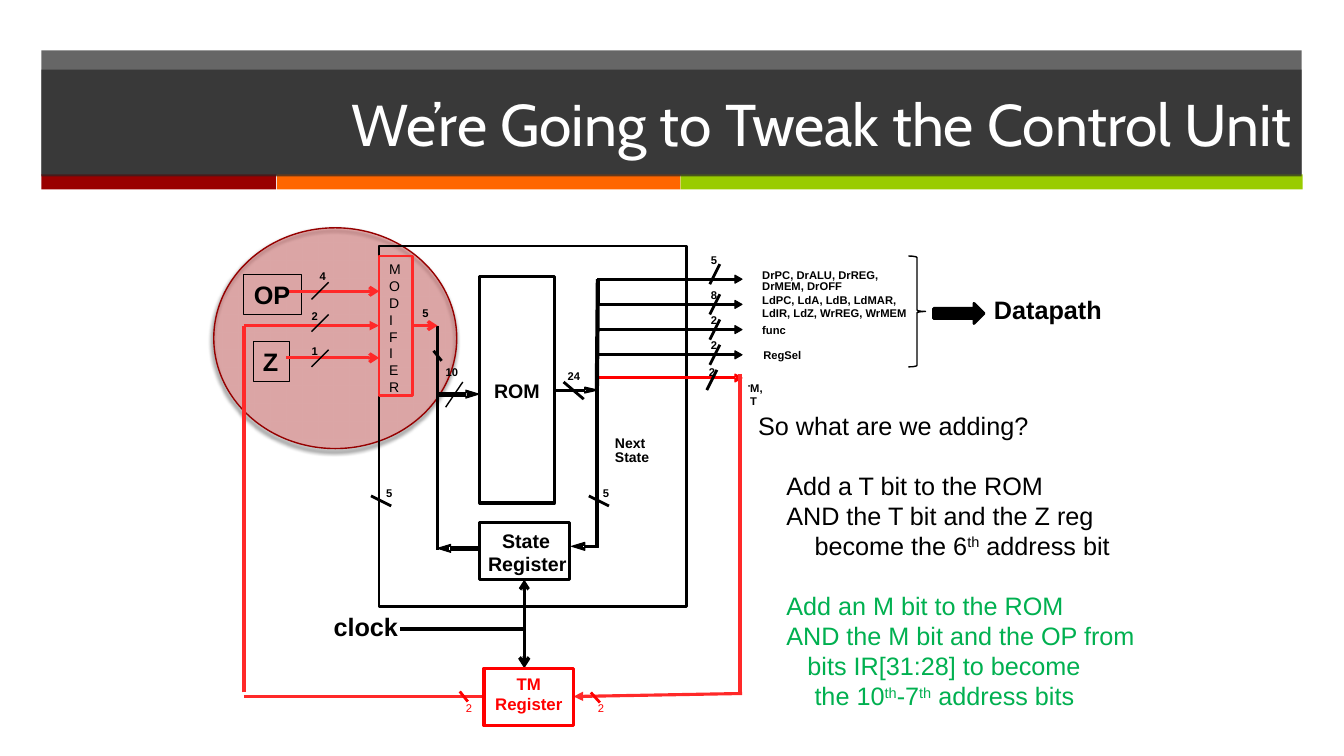
from dataclasses import dataclass

import pptx
import pptx.dml.color
import pptx.enum.shapes
import pptx.enum.text
import pptx.oxml
import pptx.oxml.ns
import pptx.util

Inches = pptx.util.Inches
Pt = pptx.util.Pt
SHAPE = pptx.enum.shapes.MSO_SHAPE
ALIGN = pptx.enum.text.PP_ALIGN
ANCHOR = pptx.enum.text.MSO_ANCHOR
BLACK, RED, WIRE_RED, GREEN = "000000", "FF0000", "FF2929", "00B050"
DARK, WHITE = "262626", "FFFFFF"
NS = pptx.oxml.ns.nsdecls("a")


@dataclass
class Box:
    x: float
    y: float
    w: float
    h: float
    line: str | None = None
    width: float = 0.75
    fill: str | None = None
    alpha: int = 100
    kind: int = SHAPE.RECTANGLE


@dataclass
class Wire:
    x1: float
    y1: float
    x2: float
    y2: float
    color: str = BLACK
    width: float = 0
    tail: str | None = None


@dataclass
class BlockArrow:
    x1: float
    x2: float
    y: float
    shaft: float = 0.01
    head: float = 0.04
    length: float = 0.07
    color: str = BLACK


@dataclass
class Label:
    text: str
    x: float
    y: float
    w: float
    size: float = 8
    color: str = BLACK
    bold: bool = True
    inset: bool = False


prs = pptx.Presentation()
prs.slide_width, prs.slide_height = Inches(13.33), Inches(7.5)
s = prs.slides.add_slide(prs.slide_layouts[6])


def paint(fmt, color: str | None) -> None:
    """Set a fill, or clear it when there is no colour."""
    if color is None:
        fmt.background()
    else:
        fmt.solid()
        fmt.fore_color.rgb = pptx.dml.color.RGBColor.from_string(color)


def style(p, size: float, color: str, bold: bool = False, name: str = "Arial") -> None:
    p.font.size, p.font.bold, p.font.name = Pt(size), bold, name
    paint(p.font.fill, color)


def add_box(b: Box):
    sp = s.shapes.add_shape(b.kind, Inches(b.x), Inches(b.y), Inches(b.w), Inches(b.h))
    sp.shadow.inherit = False
    paint(sp.fill, b.fill)
    paint(sp.line.fill, b.line)
    if b.line:
        sp.line.width = Pt(b.width)
    if b.alpha < 100:
        clr = sp._element.spPr.find(".//" + pptx.oxml.ns.qn("a:srgbClr"))
        clr.append(pptx.oxml.parse_xml(f'<a:alpha {NS} val="{b.alpha * 1000}"/>'))
    return sp


def add_wire(w: Wire) -> None:
    c = s.shapes.add_connector(pptx.enum.shapes.MSO_CONNECTOR.STRAIGHT,
                               Inches(w.x1), Inches(w.y1), Inches(w.x2), Inches(w.y2))
    paint(c.line.fill, w.color)
    c.line.width = Pt(w.width)
    if w.tail:
        c.line._get_or_add_ln().append(
            pptx.oxml.parse_xml(f'<a:tailEnd {NS} type="{w.tail}"/>'))
    c._element.spPr.append(pptx.oxml.parse_xml(f"<a:effectLst {NS}/>"))


def add_block_arrow(a: BlockArrow) -> None:
    step = a.length if a.x2 > a.x1 else -a.length
    neck, base = a.x2 - 0.85 * step, a.x2 - step
    shaft = [(a.x1, a.y - a.shaft), (neck, a.y - a.shaft),
             (neck, a.y + a.shaft), (a.x1, a.y + a.shaft)]
    head = [(base, a.y - a.head), (a.x2, a.y), (base, a.y + a.head)]
    (x, y), *rest = [(Inches(x), Inches(y)) for x, y in shaft]
    fb = s.shapes.build_freeform(x, y)
    fb.add_line_segments(rest)
    (x, y), *rest = [(Inches(x), Inches(y)) for x, y in head]
    fb.move_to(x, y)
    fb.add_line_segments(rest)
    sp = fb.convert_to_shape()
    sp.shadow.inherit = False
    paint(sp.fill, a.color)
    paint(sp.line.fill, a.color)
    sp.line.width = Pt(0)


def add_label(t: Label):
    pad = 0.1 if t.inset else 0
    sp = s.shapes.add_textbox(Inches(t.x), Inches(t.y), Inches(t.w),
                              Inches(round(t.size / 60 + pad, 2)))
    tf = sp.text_frame
    tf.word_wrap = False
    tf.auto_size = pptx.enum.text.MSO_AUTO_SIZE.SHAPE_TO_FIT_TEXT
    if not t.inset:
        tf.margin_left = tf.margin_right = tf.margin_top = tf.margin_bottom = 0
    tf.text = t.text
    for p in tf.paragraphs:
        style(p, t.size, t.color, t.bold)
    return sp


# Title banner
add_box(Box(0.41, 0.5, 12.5, 1.24, fill=DARK, alpha=70))
for x, w, color in [(0.41, 2.33, "990000"), (2.75, 4, "FF6600"), (6.75, 6.17, "99CC00")]:
    add_box(Box(x, 1.73, w, 0.15, fill=color))
tf = add_box(Box(0.41, 0.69, 12.5, 1.06, fill=DARK, alpha=70)).text_frame
tf.text = "We’re Going to Tweak the Control Unit"
tf.vertical_anchor = ANCHOR.MIDDLE
tf.paragraphs[0].alignment = ALIGN.RIGHT
style(tf.paragraphs[0], 42, WHITE, name="Cabin")

# Highlight around the modifier inputs
sp = add_box(Box(2.12, 2.26, 2.41, 2.19, "960000", 1, WIRE_RED, 25, SHAPE.OVAL))
sp._element.spPr.find(pptx.oxml.ns.qn("a:effectLst")).append(pptx.oxml.parse_xml(
    f'<a:outerShdw {NS} blurRad="{Pt(3)}" dist="{Pt(2)}" dir="6600000" rotWithShape="0">'
    '<a:srgbClr val="000000"><a:alpha val="75000"/></a:srgbClr></a:outerShdw>'))

# Blocks: ROM, state register, control unit, Z, OP, modifier, brace, datapath arrow
for b in [Box(4.76, 2.74, 0.74, 2.25, BLACK, 2.25), Box(4.76, 5.18, 0.89, 0.57, BLACK, 2.25),
          Box(3.76, 2.44, 3.05, 3.58, BLACK, 2), Box(2.51, 3.39, 0.36, 0.4, BLACK),
          Box(2.42, 2.72, 0.57, 0.4, BLACK), Box(3.76, 2.54, 0.33, 1.38, WIRE_RED, 2),
          Box(9.01, 2.54, 0.17, 1.1, BLACK, 1, kind=SHAPE.RIGHT_BRACE),
          Box(9.26, 3.01, 0.5, 0.2, BLACK, 2, BLACK, kind=SHAPE.RIGHT_ARROW)]:
    add_box(b)

# Control outputs with bus slashes and widths
for i, bits in enumerate("5822"):
    y = 2.77 + 0.25 * i
    add_block_arrow(BlockArrow(5.93, 7.36, y))
    slash = 2.82 if i == 0 else y + 0.1
    add_wire(Wire(7.04, slash, 7.14, slash - 0.2))
    add_label(Label(bits, 7.05, 2.51 if i == 0 else y - 0.16, 0.06))
add_block_arrow(BlockArrow(5.92, 7.36, 3.75, color=RED))

# Internal buses
for a in [BlockArrow(5.51, 5.93, 3.87, 0.01, 0.03, 0.13),
          BlockArrow(5.94, 5.67, 5.42, 0.01, 0.04, 0.13),
          BlockArrow(4.34, 4.75, 3.91, 0.02, 0.04, 0.13),
          BlockArrow(4.75, 4.34, 5.44, 0.02, 0.04, 0.13)]:
    add_block_arrow(a)

for w in [Wire(5.92, 3.87, 5.93, 2.77, width=3), Wire(5.92, 3.87, 5.92, 5.43, width=3),
          Wire(4.34, 3.23, 4.34, 5.46, width=2.25),
          # Clock
          Wire(3.97, 6.24, 5.2, 6.24, width=2.25),
          Wire(5.2, 6.24, 5.2, 5.75, width=2.25, tail="arrow"),
          Wire(5.2, 6.24, 5.2, 6.63, width=2.5, tail="arrow"),
          # Modifier inputs and output
          Wire(2.84, 2.89, 3.76, 2.89, WIRE_RED, 2.25, "arrow"),
          Wire(2.84, 3.55, 3.76, 3.55, WIRE_RED, 2.25, "arrow"),
          Wire(4.09, 3.23, 4.34, 3.23, WIRE_RED, 2.25, "arrow"),
          # Loop through the TM register
          Wire(7.34, 3.71, 7.34, 6.87, WIRE_RED, 2.25),
          Wire(7.36, 6.88, 5.69, 6.91, WIRE_RED, 2.25, "triangle"),
          Wire(4.8, 6.91, 2.42, 6.91, WIRE_RED, 2.25),
          Wire(2.42, 6.87, 2.42, 3.23, WIRE_RED, 2.25),
          Wire(2.42, 3.23, 3.76, 3.23, WIRE_RED, 2.25, "triangle"),
          # Bus slashes
          Wire(7.01, 3.87, 7.11, 3.67), Wire(5.84, 4.92, 6.04, 5.02),
          Wire(3.68, 4.92, 3.88, 5.02), Wire(5.59, 3.79, 5.79, 3.96),
          Wire(4.3, 3.48, 4.38, 3.58), Wire(4.59, 3.79, 4.42, 4.04, width=1),
          Wire(5.86, 6.87, 5.95, 6.97, RED), Wire(4.56, 6.86, 4.64, 6.96, RED)]:
    add_wire(w)
for y in (2.8, 3.12, 3.47):
    add_wire(Wire(3.26, y, 3.09, y + 0.17, width=1))

# Labels
for t in [Label("DrPC, DrALU, DrREG,", 7.56, 2.66, 1.19), Label("DrMEM, DrOFF", 7.56, 2.77, 0.8),
          Label("LdPC, LdA, LdB, LdMAR,", 7.56, 2.91, 1.34),
          Label("LdIR, LdZ, WrREG, WrMEM", 7.56, 3.04, 1.45),
          Label("func", 7.56, 3.21, 0.24), Label("RegSel", 7.57, 3.46, 0.38),
          Label("ROM", 4.9, 3.76, 0.46, 14), Label("State", 4.98, 5.25, 0.48, 14),
          Label("Register", 4.84, 5.48, 0.78, 14),
          Label("Next", 6.1, 4.31, 0.3, 10), Label("State", 6.1, 4.45, 0.34, 10),
          Label("5", 5.98, 4.82, 0.06), Label("5", 3.83, 4.82, 0.06), Label("5", 4.19, 3.04, 0.06),
          Label("24", 5.63, 3.66, 0.13), Label("10", 4.42, 3.62, 0.13),
          Label("4", 3.17, 2.67, 0.06), Label("2", 3.09, 3.07, 0.06), Label("1", 3.09, 3.42, 0.06),
          Label("2", 7.03, 3.62, 0.06), Label("T", 7.42, 3.79, 0.07),
          Label("2", 5.93, 6.96, 0.06, color=RED, bold=False),
          Label("2", 4.62, 6.96, 0.06, color=RED, bold=False),
          Label("clock", 3.21, 6.02, 0.85, 18, inset=True), Label("Z", 2.51, 3.39, 0.36, 18, inset=True),
          Label("OP", 2.42, 2.72, 0.57, 18, inset=True),
          Label("Datapath", 9.76, 2.87, 1.28, 18, inset=True)]:
    add_label(t)
paint(add_label(Label("M, T", 7.44, 3.78, 0.22)).fill, WHITE)
sp = add_label(Label("\n".join("MODIFIER"), 3.76, 2.54, 0.32, 10, bold=False, inset=True))
sp.height = Inches(1.62)
for p in sp.text_frame.paragraphs:
    p.line_spacing = Pt(12)

# TM register
tf = add_box(Box(4.8, 6.63, 0.89, 0.57, RED, 2.25)).text_frame
tf.word_wrap, tf.vertical_anchor, tf.text = True, ANCHOR.TOP, "TM Register"
tf.paragraphs[0].alignment = ALIGN.CENTER
style(tf.paragraphs[0], 12, RED, True)

# Explanation: indent, gap before, colour, text with ^ around superscripts
tf = s.shapes.add_textbox(Inches(7.42), Inches(4.02), Inches(4.12), Inches(3.13)).text_frame
tf.word_wrap = True
for i, (indent, gap, color, text) in enumerate([
        (0, 0, BLACK, "So what are we adding?"),
        (0.28, 21.5, BLACK, "Add a T bit to the ROM"),
        (0.28, 0, BLACK, "AND the T bit and the Z reg"),
        (0.56, 0, BLACK, "become the 6^th^ address bit"),
        (0.28, 21.5, GREEN, "Add an M bit to the ROM"),
        (0.28, 0, GREEN, "AND the M bit and the OP from"),
        (0.49, 0, GREEN, "bits IR[31:28] to become"),
        (0.56, 0, GREEN, "the 10^th^-7^th^ address bits")]):
    p = tf.paragraphs[0] if i == 0 else tf.add_paragraph()
    p._p.get_or_add_pPr().set("marL", str(Inches(indent)))
    p.line_spacing, p.space_before = Pt(21.5), Pt(gap)
    style(p, 18, color)
    for j, part in enumerate(text.split("^")):
        r = p.add_run()
        r.text = part
        if j % 2:
            r.font._element.set("baseline", "30000")

prs.save("out.pptx")
